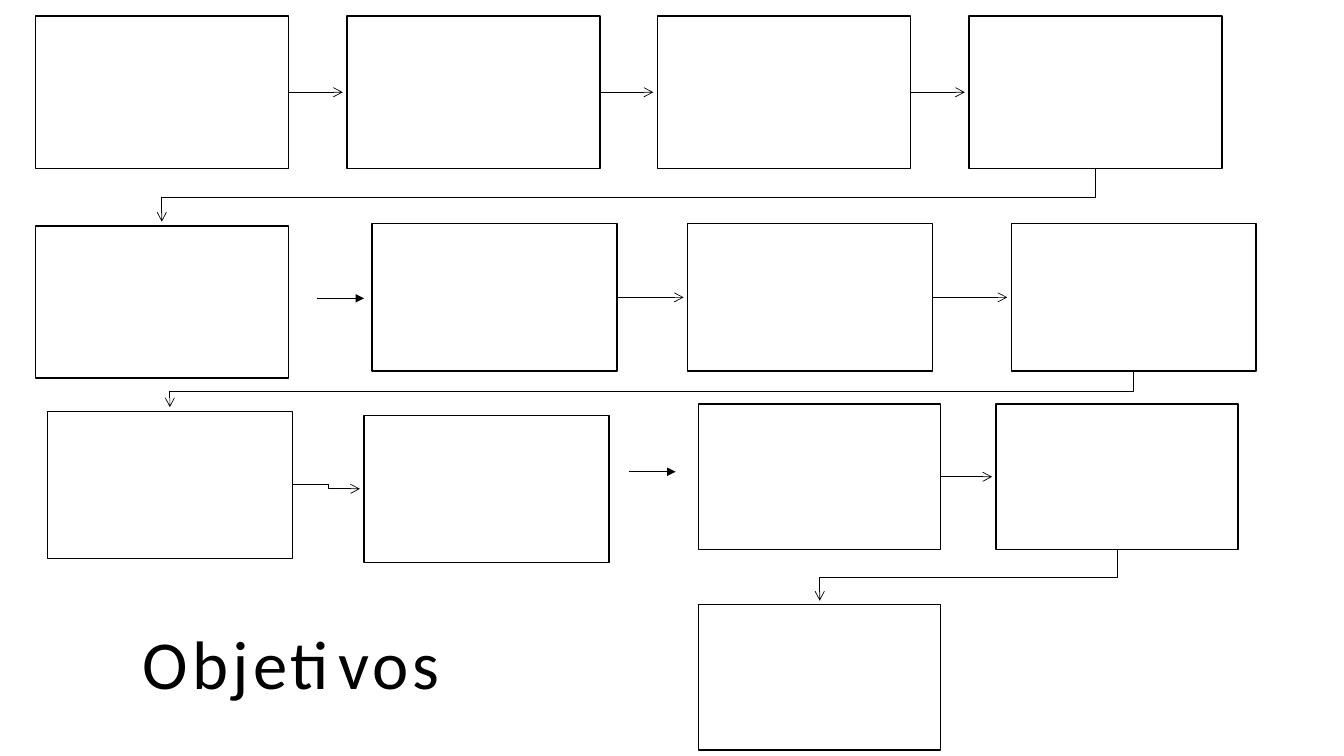
from lxml import etree
from pptx import Presentation
from pptx.dml.color import RGBColor
from pptx.enum.shapes import MSO_CONNECTOR, MSO_SHAPE
from pptx.enum.text import MSO_ANCHOR, PP_ALIGN
from pptx.oxml.ns import qn
from pptx.util import Inches, Pt

TITLE = "Objetivos"
BLACK, WHITE = "000000", "FFFFFF"
GAP = Inches(0.04)

BOXES = [
    ((2.51, 1.51), [(0.35, 0.16), (3.44, 0.16), (6.52, 0.16), (9.61, 0.16), (0.35, 2.24)]),
    ((2.43, 1.46), [(3.69, 2.22), (6.82, 2.22), (10.03, 2.22), (0.47, 4.08), (3.61, 4.12)]),
    ((2.4, 1.44), [(6.93, 4.01), (9.88, 4.01), (6.93, 6)]),
]
ACROSS = [(0, 1), (1, 2), (2, 3), (5, 6), (6, 7), (10, 11)]
STEPS = [(8, 9)]
DOWN = [(3, 4), (7, 8), (11, 12)]
LOOSE = [(3.14, 3.61, 2.96), (6.24, 6.7, 4.68)]


def color(code):
    return RGBColor.from_string(code)


def write(shape, text, size, font, code, space, lead):
    frame = shape.text_frame
    frame.word_wrap = True
    frame.vertical_anchor = MSO_ANCHOR.MIDDLE
    para = frame.paragraphs[0]
    para.alignment = PP_ALIGN.CENTER
    para.line_spacing = lead
    run = para.add_run()
    run.text = text
    run.font.size = Pt(size)
    run.font.name = font
    run.font.color.rgb = color(code)
    run.font._element.set("spc", str(space * 100))


def add_box(left, top, width, height):
    box = shapes.add_shape(MSO_SHAPE.RECTANGLE, *map(Inches, (left, top, width, height)))
    box.shadow.inherit = False
    box.fill.solid()
    box.fill.fore_color.rgb = color(WHITE)
    box.line.color.rgb = color(BLACK)
    box.line.width = Pt(1)
    return box


def style(line, head):
    line.color.rgb = color(BLACK)
    line.width = Pt(0.5)
    etree.SubElement(line._get_or_add_ln(), qn("a:tailEnd"), type=head)


def straight(start, end, head):
    link = shapes.add_connector(MSO_CONNECTOR.STRAIGHT, *start, *end)
    style(link.line, head)
    etree.SubElement(link._element.spPr, qn("a:effectLst"))
    return link


def elbow(points):
    path = shapes.build_freeform(*points[0], scale=1.0)
    path.add_line_segments(points[1:], close=False)
    bend = path.convert_to_shape()
    bend.shadow.inherit = False
    bend.fill.background()
    style(bend.line, "arrow")


def mid_x(box):
    return box.left + box.width // 2


def mid_y(box):
    return box.top + box.height // 2


deck = Presentation()
deck.slide_width, deck.slide_height = Inches(13.33), Inches(7.5)
slide = deck.slides.add_slide(deck.slide_layouts[5])
shapes = slide.shapes

title = shapes.title
title.left, title.top, title.width, title.height = map(Inches, (-2.86, 5.89, 11.5, 1.45))
write(title, TITLE, size=49, font="Calibri", code=BLACK, space=3, lead=0.9)

boxes = [add_box(*spot, *size) for size, spots in BOXES for spot in spots]

for a, b in ACROSS:
    one, two = boxes[a], boxes[b]
    y = mid_y(one)
    link = straight((one.left + one.width, y), (two.left - GAP, y), "arrow")
    link.begin_connect(one, 3)

for a, b in STEPS:
    one, two = boxes[a], boxes[b]
    right = one.left + one.width
    x = (right + two.left) // 2
    elbow([(right, mid_y(one)), (x, mid_y(one)), (x, mid_y(two)), (two.left - GAP, mid_y(two))])

for a, b in DOWN:
    one, two = boxes[a], boxes[b]
    base = one.top + one.height
    y = (base + two.top) // 2
    elbow([(mid_x(one), base), (mid_x(one), y), (mid_x(two), y), (mid_x(two), two.top - GAP)])

for x, end, y in LOOSE:
    straight((Inches(x), Inches(y)), (Inches(end), Inches(y)), "triangle")

deck.save("out.pptx")
